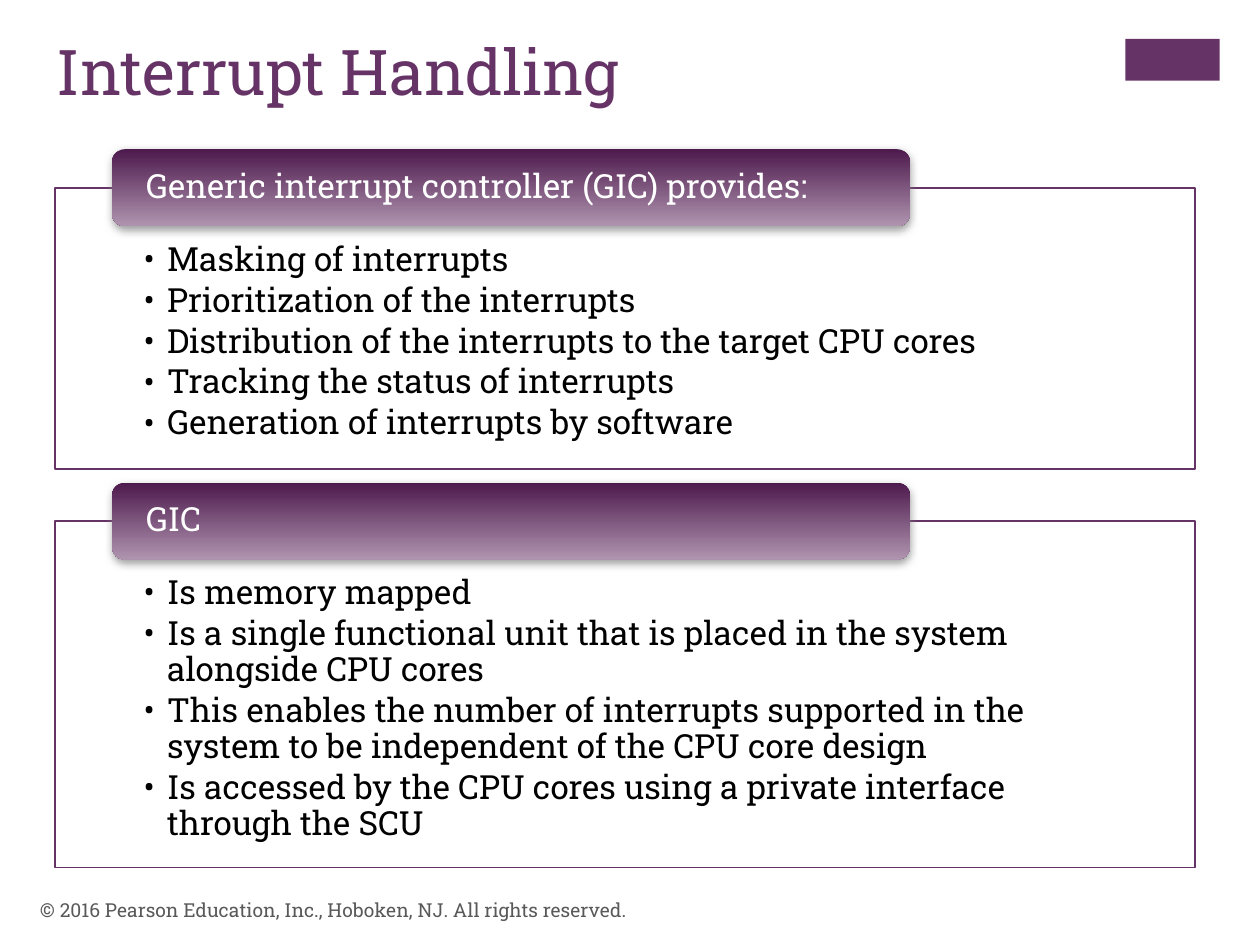
from lxml.etree import SubElement
from pptx import Presentation
from pptx.dml.color import RGBColor
from pptx.enum.shapes import MSO_SHAPE
from pptx.enum.text import MSO_ANCHOR, MSO_AUTO_SIZE, PP_ALIGN
from pptx.oxml import parse_xml
from pptx.oxml.ns import nsdecls, qn
from pptx.util import Pt

TITLE = "Interrupt Handling"
FOOTER = "© 2016 Pearson Education, Inc., Hoboken, NJ. All rights reserved."
# heading, panel top, panel height, bullets
SECTIONS = [
    ("Generic interrupt controller (GIC) provides:", 107.3, 160.6, [
        "Masking of interrupts",
        "Prioritization of the interrupts",
        "Distribution of the interrupts to the target CPU cores",
        "Tracking the status of interrupts",
        "Generation of interrupts by software",
    ]),
    ("GIC", 297.8, 198, [
        "Is memory mapped",
        "Is a single functional unit that is placed in the system alongside CPU cores",
        "This enables the number of interrupts supported in the system to be "
        "independent of the CPU core design",
        "Is accessed by the CPU cores using a private interface through the SCU",
    ]),
]
FONT = "Roboto Slab"
PURPLE, WHITE, BLACK, GREY = "663366", "FFFFFF", "000000", "595959"
GRADIENT = ("4D1A4D", "AF94AF")
PANEL_LEFT, PANEL_WIDTH = 31.5, 651.6
HEAD_LEFT, HEAD_WIDTH, HEAD_HEIGHT = 64, 456, 44
HEAD_RISE = 22


def rgb(value):
    return RGBColor.from_string(value)


def add_box(s, kind, x, y, w, h, fill=None):
    sp = s.shapes.add_shape(kind, Pt(x), Pt(y), Pt(w), Pt(h))
    sp.shadow.inherit = False
    sp.line.fill.background()
    if fill:
        sp.fill.solid()
        sp.fill.fore_color.rgb = rgb(fill)
    return sp


def set_text(sp, lines, size, color, anchor, insets=(7.2, 3.6, 7.2, 3.6)):
    tf = sp.text_frame
    tf.word_wrap = True
    tf.auto_size = MSO_AUTO_SIZE.NONE
    tf.vertical_anchor = anchor
    tf.margin_left, tf.margin_top, tf.margin_right, tf.margin_bottom = map(Pt, insets)
    tf.text = "\n".join(lines)
    for p in tf.paragraphs:
        p.alignment = PP_ALIGN.LEFT
        for r in p.runs:
            r.font.name, r.font.size = FONT, Pt(size)
            r.font.color.rgb = rgb(color)
    return tf.paragraphs


def add_bullet(p, indent):
    pPr = p._p.get_or_add_pPr()
    pPr.set("marL", str(Pt(indent)))
    pPr.set("indent", str(-Pt(indent)))
    SubElement(pPr, qn("a:buFont"), typeface=FONT)
    SubElement(pPr, qn("a:buChar"), char="•")


def add_panel(s, top, height, bullets):
    sp = add_box(s, MSO_SHAPE.RECTANGLE, PANEL_LEFT, top, PANEL_WIDTH, height, WHITE)
    color = sp.fill._xPr.find(qn("a:solidFill"))[0]
    SubElement(color, qn("a:alpha"), val="90000")
    sp.line.color.rgb = rgb(PURPLE)
    sp.line.width = Pt(1)
    for p in set_text(sp, bullets, 19, BLACK, MSO_ANCHOR.TOP, (50.5, 31.3, 50.5, 10.8)):
        add_bullet(p, 13.5)
        p.level = 1
        p.line_spacing = 0.9
        p.space_after = Pt(2.85)


def add_heading(s, top, text):
    sp = add_box(s, MSO_SHAPE.ROUNDED_RECTANGLE, HEAD_LEFT, top, HEAD_WIDTH, HEAD_HEIGHT)
    sp.fill.gradient()
    sp.fill.gradient_angle = 270
    for stop, position, color in zip(sp.fill.gradient_stops, (0, 1), GRADIENT):
        stop.position = position
        stop.color.rgb = rgb(color)
    effects = sp._element.spPr.find(qn("a:effectLst"))
    effects.append(parse_xml(
        f'<a:outerShdw {nsdecls("a")} blurRad="{Pt(5)}" dist="{Pt(2)}" dir="5400000" '
        'rotWithShape="0"><a:srgbClr val="808080"><a:alpha val="75000"/></a:srgbClr>'
        '</a:outerShdw>'))
    for p in set_text(sp, [text], 19, WHITE, MSO_ANCHOR.MIDDLE, (17.3, 0, 17.3, 0)):
        p.line_spacing = 0.9


def main():
    prs = Presentation()
    prs.slide_width, prs.slide_height = Pt(720), Pt(540)
    s = prs.slides.add_slide(prs.slide_layouts[5])

    add_box(s, MSO_SHAPE.RECTANGLE, 643, 22.3, 54, 23.8, PURPLE)
    footer = s.shapes.add_textbox(Pt(15.8), Pt(505.4), Pt(482.4), Pt(28.8))
    set_text(footer, [FOOTER], 11, GREY, MSO_ANCHOR.MIDDLE)

    title = s.shapes.title
    title.left, title.top, title.width, title.height = map(Pt, (25.2, 15.1, 594.7, 87.8))
    set_text(title, [TITLE], 36, PURPLE, MSO_ANCHOR.TOP)

    for heading, top, height, bullets in SECTIONS:
        add_panel(s, top, height, bullets)
        add_heading(s, top - HEAD_RISE, heading)

    prs.save("out.pptx")


if __name__ == "__main__":
    main()
